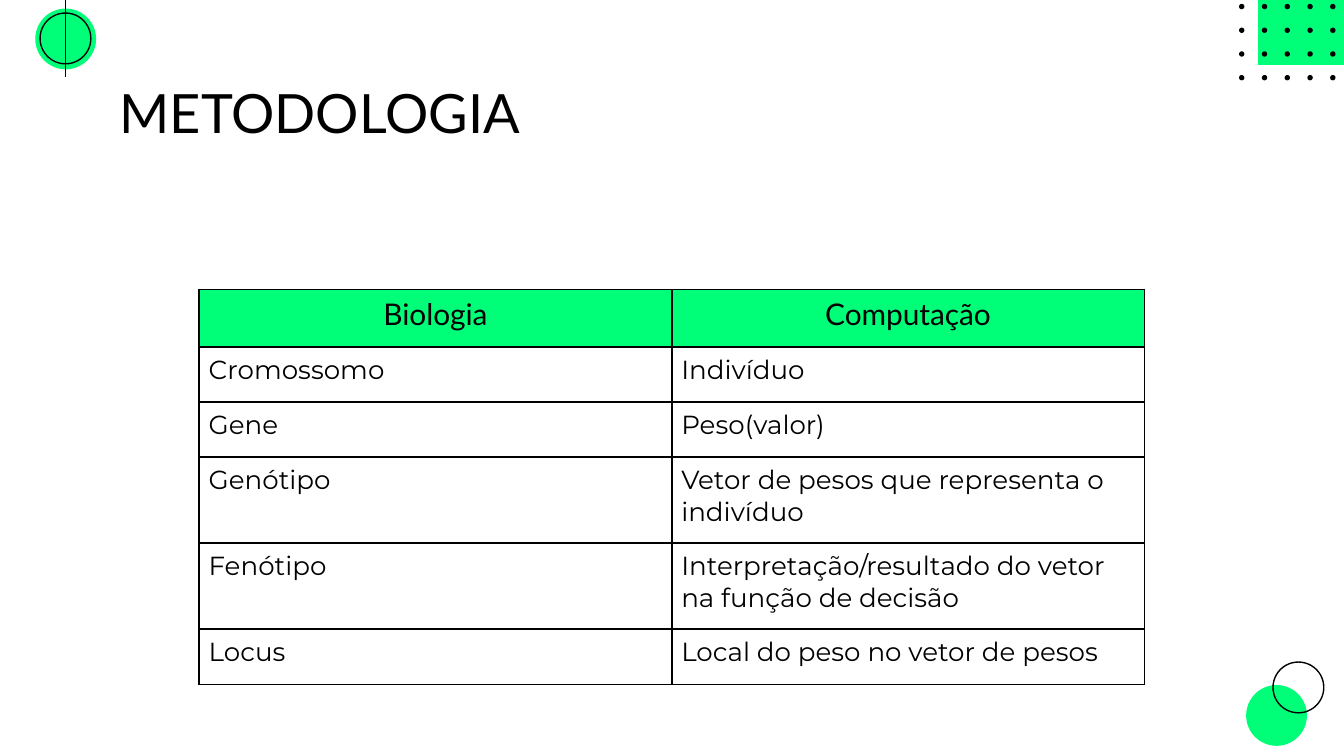
from lxml.etree import SubElement
from pptx import Presentation
from pptx.dml.color import RGBColor
from pptx.enum.shapes import MSO_CONNECTOR, MSO_SHAPE
from pptx.enum.text import MSO_ANCHOR, PP_ALIGN
from pptx.oxml import parse_xml
from pptx.oxml.ns import nsdecls, qn
from pptx.util import Pt

GREEN = "00FF79"
BLACK = "000000"


def color(value):
    return RGBColor.from_string(value)


def add_decoration(kind, left, top, width, height, fill=None):
    shape = page.shapes.add_shape(kind, Pt(left), Pt(top), Pt(width), Pt(height))
    shape.shadow.inherit = False
    if fill:
        shape.fill.solid()
        shape.fill.fore_color.rgb = color(fill)
        shape.line.fill.background()
    else:
        shape.fill.background()
        shape.line.color.rgb = color(BLACK)
        shape.line.width = Pt(0.75)


deck = Presentation()
deck.slide_width = Pt(720)
deck.slide_height = Pt(405)
page = deck.slides.add_slide(deck.slide_layouts[5])
page.background.fill.solid()
page.background.fill.fore_color.rgb = color("FFFFFF")

for left, top in [(18.9, 4.6), (667.6, 367)]:
    add_decoration(MSO_SHAPE.OVAL, left, top, 32.6, 32.6, GREEN)
add_decoration(MSO_SHAPE.RECTANGLE, 674, -12, 65.5, 46.8, GREEN)

for row in range(4):
    for column in range(5):
        add_decoration(MSO_SHAPE.OVAL, 663.8 + 12.2 * column, 2.1 + 12.7 * row, 2.9, 2.9, BLACK)

for left, top in [(21.5, 7), (682, 354.7)]:
    add_decoration(MSO_SHAPE.OVAL, left, top, 27.2, 27.2)

stem = page.shapes.add_connector(MSO_CONNECTOR.STRAIGHT, Pt(35.1), Pt(0), Pt(35.1), Pt(41.5))
stem.line.color.rgb = color(BLACK)
stem.line.width = Pt(0.75)
SubElement(stem._element.spPr, qn("a:effectLst"))

title = page.shapes.title
title.left, title.top, title.width, title.height = Pt(56.9), Pt(35.3), Pt(606), Pt(51)
frame = title.text_frame
frame.word_wrap = True
frame.vertical_anchor = MSO_ANCHOR.TOP
frame.margin_left = frame.margin_right = frame.margin_top = frame.margin_bottom = Pt(7.2)
para = frame.paragraphs[0]
para.alignment = PP_ALIGN.LEFT
span = para.add_run()
span.text = "METODOLOGIA"
span.font.name = "Lato"
span.font.size = Pt(29)
span.font.color.rgb = color(BLACK)

rows = [
    ("Biologia", "Computação", 31),
    ("Cromossomo", "Indivíduo", 29.5),
    ("Gene", "Peso(valor)", 29.5),
    ("Genótipo", "Vetor de pesos que representa o indivíduo", 46.1),
    ("Fenótipo", "Interpretação/resultado do vetor na função de decisão", 46.1),
    ("Locus", "Local do peso no vetor de pesos", 29.5),
]
table = page.shapes.add_table(len(rows), 2, Pt(106.7), Pt(155), Pt(506.4), Pt(211.7)).table
table.horz_banding = False
for column in table.columns:
    column.width = Pt(253.2)

for row_index, (biology, computing, height) in enumerate(rows):
    table.rows[row_index].height = Pt(height)
    is_header = row_index == 0
    for column_index, text in enumerate((biology, computing)):
        cell = table.cell(row_index, column_index)
        cell.margin_left = cell.margin_right = Pt(5.1)
        cell.margin_top = cell.margin_bottom = Pt(3.6)
        properties = cell._tc.get_or_add_tcPr()
        for side in ("lnL", "lnR", "lnT", "lnB"):
            properties.append(parse_xml(
                f'<a:{side} {nsdecls("a")} w="{Pt(0.96)}"><a:solidFill>'
                f'<a:srgbClr val="{BLACK}"/></a:solidFill></a:{side}>'
            ))
        if is_header:
            cell.fill.solid()
            cell.fill.fore_color.rgb = color(GREEN)
        else:
            cell.fill.background()
        para = cell.text_frame.paragraphs[0]
        para.alignment = PP_ALIGN.CENTER if is_header else PP_ALIGN.LEFT
        span = para.add_run()
        span.text = text
        span.font.name = "Lato" if is_header else "Montserrat"
        span.font.size = Pt(16 if is_header else 14)
        span.font.bold = False
        span.font.color.rgb = color(BLACK)

deck.save("out.pptx")
